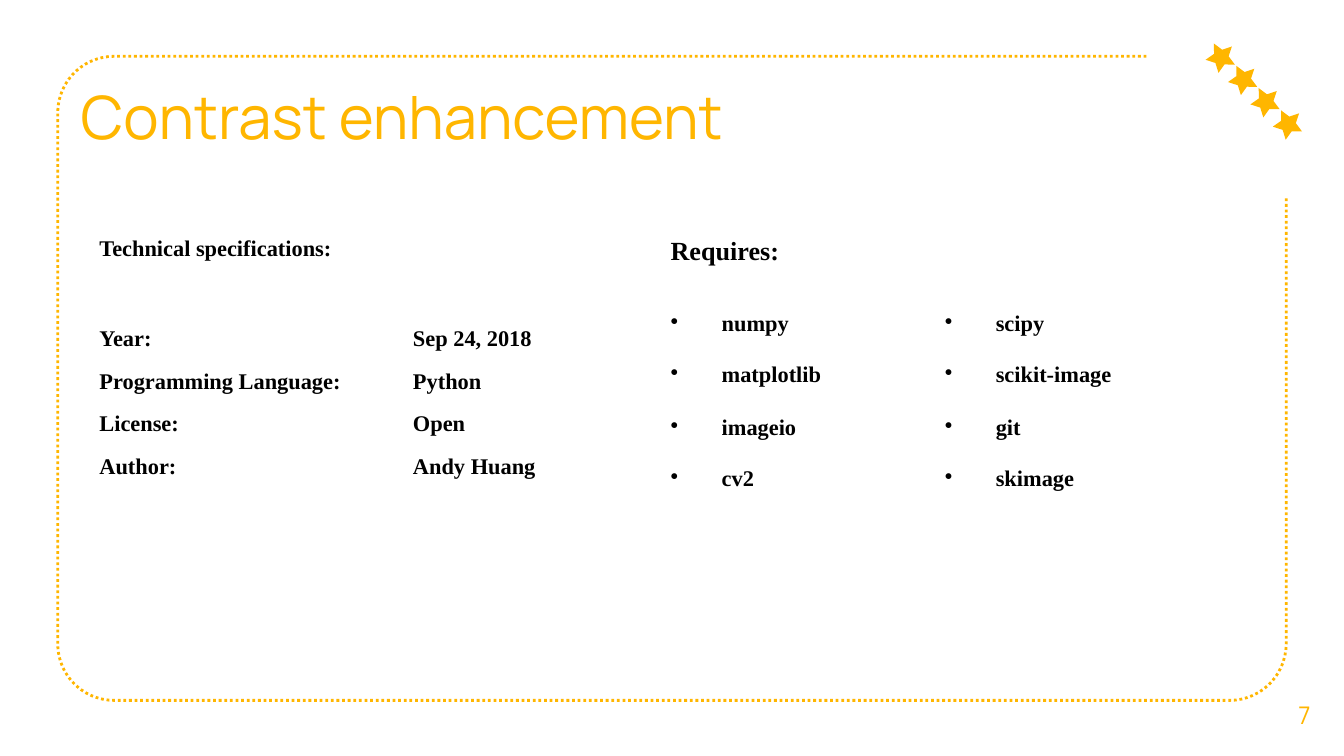
import dataclasses
import math

import lxml.etree
import pptx
import pptx.dml.color
import pptx.enum.dml
import pptx.enum.shapes
import pptx.enum.text
import pptx.oxml.ns
import pptx.util

COLORS = {"accent": "FFB600", "ink": "000000"}
SANS, SERIF = "Manrope", "Times New Roman"
SLIDE_W, SLIDE_H = pptx.util.Inches(10), pptx.util.Inches(5.625)
PLAIN_TABLE = "{2D5ABB26-0587-4C30-8999-92F81FD0307C}"
ALIGN = pptx.enum.text.PP_ALIGN
ANCHOR = pptx.enum.text.MSO_ANCHOR

SPECIFICATIONS = [
    ("Year:", "Sep 24, 2018"),
    ("Programming Language:", "Python"),
    ("License:", "Open"),
    ("Author:", "Andy Huang"),
]
REQUIREMENTS = [
    ("numpy", "scipy"),
    ("matplotlib", "scikit-image"),
    ("imageio", "git"),
    ("cv2", "skimage"),
]


def across(percent):
    return round(SLIDE_W * percent / 100)


def down(percent):
    return round(SLIDE_H * percent / 100)


@dataclasses.dataclass
class Box:
    """An area of the slide, in percent of its width and height."""
    x: float
    y: float
    w: float
    h: float

    def emu(self):
        return across(self.x), down(self.y), across(self.w), down(self.h)


def rgb(name):
    return pptx.dml.color.RGBColor.from_string(COLORS[name])


def style_font(paragraph, family, size, color, bold=False):
    font = paragraph.font
    font.name, font.size, font.bold = family, pptx.util.Pt(size), bold
    font.color.rgb = rgb(color)


def set_frame(frame, anchor):
    frame.word_wrap = True
    frame.auto_size = pptx.enum.text.MSO_AUTO_SIZE.NONE
    frame.vertical_anchor = anchor
    frame.margin_left = frame.margin_right = pptx.util.Inches(0.1)
    frame.margin_top = frame.margin_bottom = pptx.util.Inches(0.1)


def add_border(slide, box):
    """Dotted rounded border, open at the top right corner."""
    left, top, width, height = box.emu()
    right, bottom = left + width, top + height
    radius = across(4.2)
    # Corner centres, each with the angle at which its arc begins
    corners = [
        (left + radius, top + radius, 270),
        (left + radius, bottom - radius, 180),
        (right - radius, bottom - radius, 90),
    ]
    points = [
        (cx + radius * math.cos(math.radians(start - turn)),
         cy + radius * math.sin(math.radians(start - turn)))
        for cx, cy, start in corners
        for turn in range(0, 91, 6)
    ]
    points.append((right, top + down(18.5)))
    builder = slide.shapes.build_freeform(right - across(10.4), top)
    builder.add_line_segments(points, close=False)
    border = builder.convert_to_shape()
    border.shadow.inherit = False
    border.fill.background()
    border.line.color.rgb = rgb("accent")
    border.line.width = pptx.util.Pt(1.5)
    border.line.dash_style = pptx.enum.dml.MSO_LINE.ROUND_DOT
    # Behind the title
    slide.shapes.element.insert(2, border.element)


def add_title(slide, box, text):
    title = slide.shapes.title
    title.left, title.top, title.width, title.height = box.emu()
    title.text_frame.text = text
    set_frame(title.text_frame, ANCHOR.BOTTOM)
    heading = title.text_frame.paragraphs[0]
    heading.alignment = ALIGN.LEFT
    style_font(heading, SANS, 32, "accent")


def add_stars(slide, box, count=4):
    """Diagonal row of tilted stars from corner to corner of the box."""
    left, top, width, height = box.emu()
    star_w, star_h = across(2.2), down(3.75)
    for i in range(count):
        share = i / (count - 1)
        star = slide.shapes.add_shape(
            pptx.enum.shapes.MSO_SHAPE.STAR_5_POINT,
            round(left + (width - star_w) * share),
            round(top + (height - star_h) * share), star_w, star_h)
        star.adjustments[0] = 0.25
        star.rotation = 333.2
        star.shadow.inherit = False
        star.fill.solid()
        star.fill.fore_color.rgb = rgb("accent")
        star.line.fill.background()


def add_page_number(slide, box, number):
    frame = slide.shapes.add_textbox(*box.emu()).text_frame
    frame.text = str(number)
    set_frame(frame, ANCHOR.MIDDLE)
    frame.paragraphs[0].alignment = ALIGN.CENTER
    style_font(frame.paragraphs[0], SANS, 13, "accent")


def add_bullet(paragraph):
    qn = pptx.oxml.ns.qn
    indent = pptx.util.Inches(0.38)
    properties = paragraph._p.get_or_add_pPr()
    properties.set("marL", str(indent))
    properties.set("indent", str(-indent))
    bullet_color = lxml.etree.SubElement(properties, qn("a:buClr"))
    lxml.etree.SubElement(bullet_color, qn("a:srgbClr"), val=COLORS["ink"])
    lxml.etree.SubElement(properties, qn("a:buChar"), char="•")


def fill_cell(cell, text, size, space_after, bulleted=False):
    cell.fill.background()
    cell.margin_left = cell.margin_right = pptx.util.Inches(0.07)
    cell.margin_top = cell.margin_bottom = 0
    cell.text_frame.text = text
    paragraph = cell.text_frame.paragraphs[0]
    if bulleted:
        add_bullet(paragraph)
        paragraph.alignment = ALIGN.JUSTIFY
    paragraph.line_spacing = 1.15
    paragraph.space_after = pptx.util.Pt(space_after)
    style_font(paragraph, SERIF, size, "ink", bold=True)


def add_listing(slide, box, heading, entries, columns, rows,
                heading_size=12, space_after=0, bulleted=False):
    """Plain table with a heading across both columns; sizes are weights."""
    left, top, width, height = box.emu()
    table = slide.shapes.add_table(
        len(rows), len(columns), left, top, width, height).table
    table.first_row = table.horz_banding = False
    table._tbl.tblPr.find(pptx.oxml.ns.qn("a:tableStyleId")).text = PLAIN_TABLE
    for column, weight in zip(table.columns, columns):
        column.width = round(width * weight / sum(columns))
    for row, weight in zip(table.rows, rows):
        row.height = round(height * weight / sum(rows))
    table.cell(0, 0).merge(table.cell(0, 1))
    fill_cell(table.cell(0, 0), heading, heading_size, space_after)
    for r, entry in enumerate(entries, start=1):
        for c, text in enumerate(entry):
            fill_cell(table.cell(r, c), text, 12, space_after, bulleted)


def main():
    deck = pptx.Presentation()
    deck.slide_width, deck.slide_height = SLIDE_W, SLIDE_H
    slide = deck.slides.add_slide(deck.slide_layouts[0])
    subtitle = slide.placeholders[1].element
    subtitle.getparent().remove(subtitle)

    # Frame and heading
    add_border(slide, Box(4.3, 7.45, 91.4, 85.2))
    add_title(slide, Box(5, 8.5, 54.4, 13.35), "Contrast enhancement")
    add_stars(slide, Box(89.7, 5.55, 7.2, 12.6))
    add_page_number(slide, Box(94.1, 89.25, 5.9, 10.7), 7)

    # Two tables side by side
    add_listing(slide, Box(6.7, 30.75, 35, 35.7), "Technical specifications:",
                SPECIFICATIONS, columns=(2, 1), rows=(67, 32, 32, 32, 38),
                space_after=10)
    add_listing(slide, Box(49.2, 30.75, 40.8, 37.3), "Requires:",
                REQUIREMENTS, columns=(1, 1), rows=(56, 38, 40, 38, 38),
                heading_size=14, bulleted=True)
    deck.save("out.pptx")


if __name__ == "__main__":
    main()
